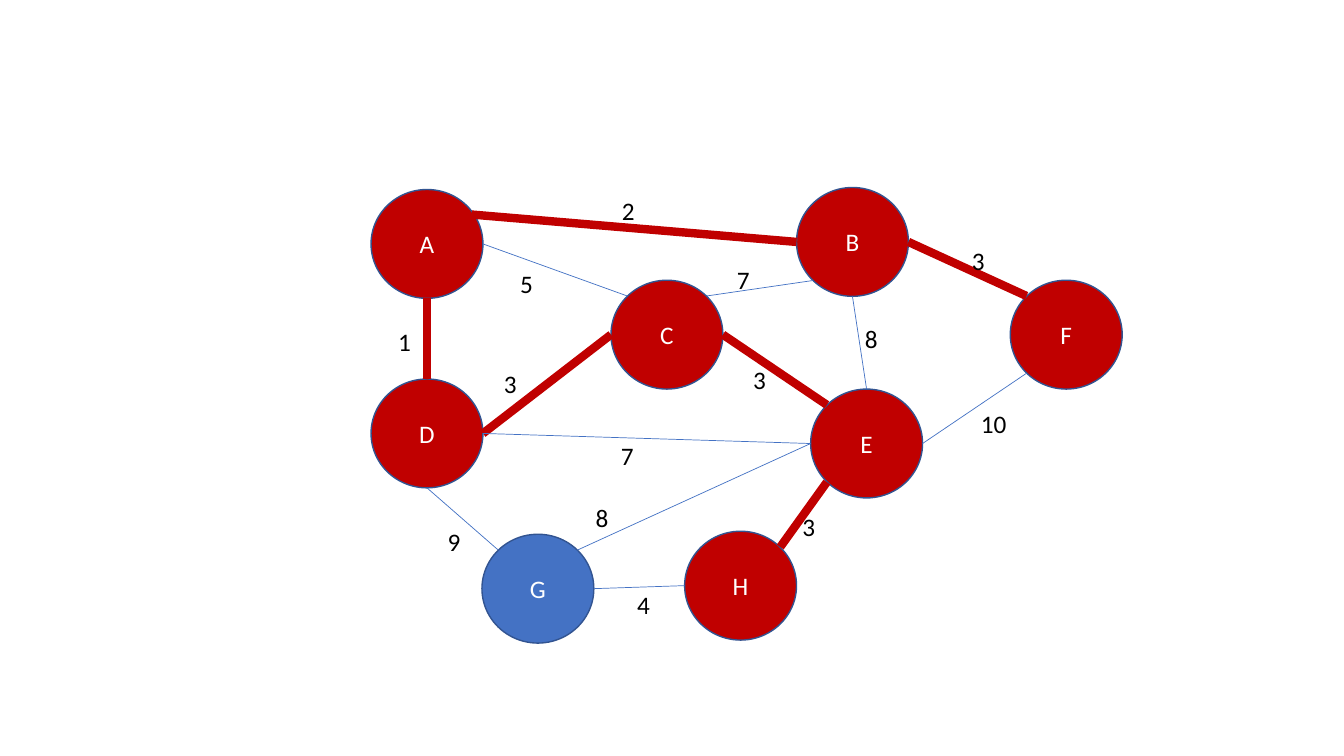
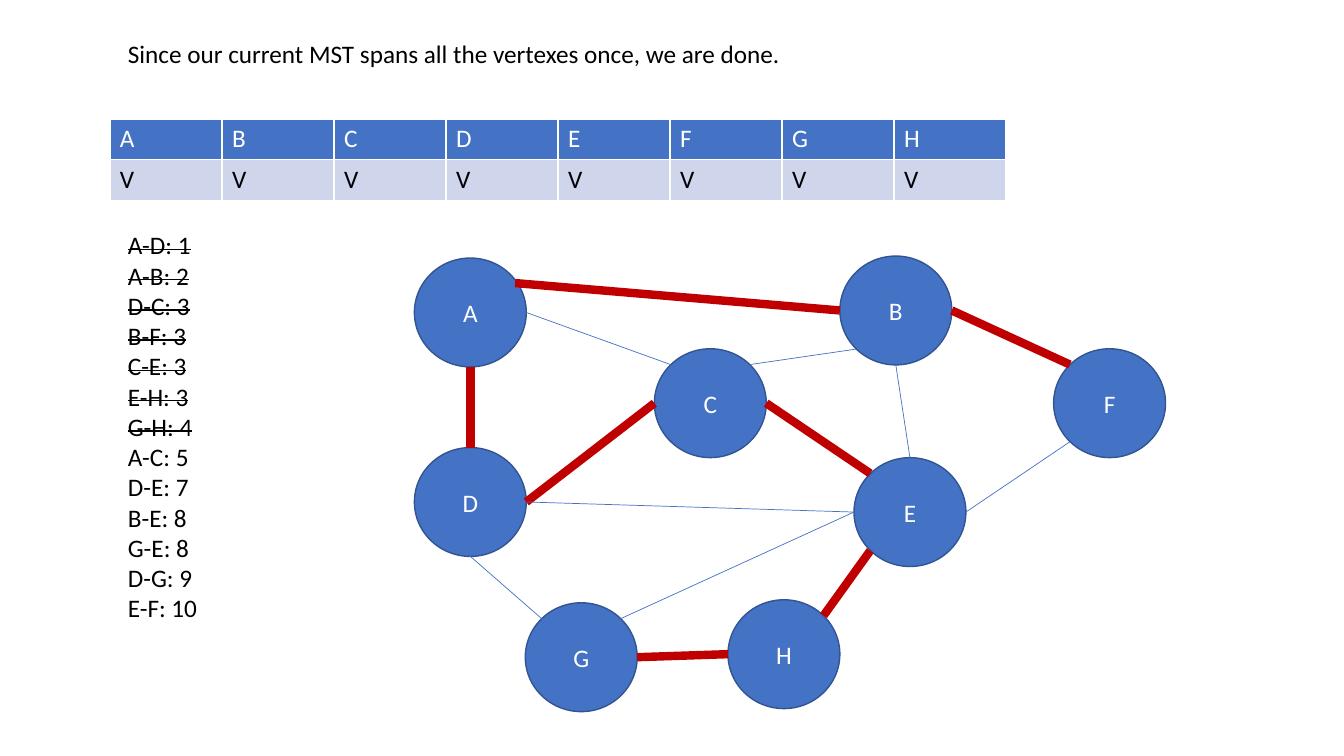
"""Build two slides that show a minimum spanning tree growing on a weighted graph."""
from lxml import etree
from pptx import Presentation
from pptx.dml.color import RGBColor
from pptx.enum.shapes import MSO_CONNECTOR, MSO_SHAPE
from pptx.enum.text import MSO_ANCHOR, PP_ALIGN
from pptx.oxml.ns import qn
from pptx.util import Emu, Pt

STRAIGHT, OVAL = MSO_CONNECTOR.STRAIGHT, MSO_SHAPE.OVAL
MIDDLE, CENTER, LEFT = MSO_ANCHOR.MIDDLE, PP_ALIGN.CENTER, PP_ALIGN.LEFT

EMU_PER_PX = 9144
SLIDE_SIZE = (1333, 750)
FONT, TEXT_SIZE = "Calibri", 18
BLACK, WHITE, BLUE, DARK_BLUE, PALE_BLUE, RED = (
    "000000", "FFFFFF", "4472C4", "325491", "CFD5EA", "C00000")

NODE_SIZE = (111, 108)
NODES = {
    "A": (368, 188), "D": (368, 376), "G": (478, 530), "C": (606, 278),
    "B": (790, 186), "E": (804, 386), "H": (679, 527), "F": (1002, 278),
}
SITES = {
    "top": (0, -1), "bottom": (0, 1), "left": (-1, 0), "right": (1, 0),
    "top left": (-0.71, -0.71), "top right": (0.71, -0.71),
    "bottom left": (-0.71, 0.71), "shoulder": (0.8, -0.54),
}
EDGES = [
    ("A-D", 1, "bottom", "top", (385, 319)),
    ("A-B", 2, "shoulder", "left", (607, 189)),
    ("D-C", 3, "right", "left", (490, 360)),
    ("B-F", 3, "right", "top left", (954, 238)),
    ("C-E", 3, "right", "top left", (737, 357)),
    ("E-H", 3, "bottom left", "top right", (786, 502)),
    ("G-H", 4, "right", "left", (622, 580)),
    ("A-C", 5, "right", "top left", (506, 261)),
    ("D-E", 7, "right", "left", (606, 432)),
    ("B-E", 8, "bottom", "top", (848, 316)),
    ("G-E", 8, "top right", "left", (581, 493)),
    ("D-G", 9, "bottom", "top left", (434, 517)),
    ("E-F", 10, "right", "bottom left", (963, 400)),
    ("C-B", 7, "top right", "bottom left", (721, 257)),
]
UNLISTED = {"C-B"}
CONCLUSION = "Since our current MST spans all the vertexes once, we are done."
VISITED_ROWS = [("ABCDEFGH", BLUE, WHITE), ("V" * 8, PALE_BLUE, BLACK)]


def px(value):
    """Turn pixels into EMU."""
    return Emu(round(value * EMU_PER_PX))


def color(hex_text):
    """Turn a hex string into a colour."""
    return RGBColor.from_string(hex_text)


def write(paragraph, text, text_color=BLACK, align=LEFT):
    """Write one paragraph in the shared text style."""
    paragraph.text = text
    paragraph.alignment = align
    font = paragraph.font
    font.name, font.size, font.bold = FONT, Pt(TEXT_SIZE), False
    font.color.rgb = color(text_color)


def add_text(slide, box, lines, struck_count=0):
    """Add a text box and strike through its first lines."""
    frame = slide.shapes.add_textbox(*map(px, box)).text_frame
    frame.word_wrap = True
    for index, line in enumerate(lines):
        paragraph = frame.add_paragraph() if index else frame.paragraphs[0]
        write(paragraph, line)
        if index < struck_count:
            paragraph.runs[0].font._element.set("strike", "sngStrike")


def add_node(slide, name, corner, fill):
    """Add one vertex of the graph."""
    shape = slide.shapes.add_shape(OVAL, *map(px, corner + NODE_SIZE))
    shape.shadow.inherit = False
    shape.fill.solid()
    shape.fill.fore_color.rgb = color(fill)
    shape.line.color.rgb = color(DARK_BLUE)
    shape.line.width = Pt(1)
    shape.text_frame.vertical_anchor = MIDDLE
    write(shape.text_frame.paragraphs[0], name, WHITE, CENTER)


def site_point(corner, site):
    """Find a named point on the rim of a vertex."""
    return [start + size / 2 * (1 + unit)
            for start, size, unit in zip(corner, NODE_SIZE, SITES[site])]


def add_edge(slide, start, end, in_tree):
    """Add one edge, thick and red when it is in the tree."""
    connector = slide.shapes.add_connector(STRAIGHT, *map(px, start + end))
    connector.line.color.rgb = color(RED if in_tree else BLUE)
    connector.line.width = Pt(6 if in_tree else 0.5)
    etree.SubElement(connector._element.spPr, qn("a:effectLst"))


def add_graph(slide, tree_size, shift=(0, 0), mark_nodes=False, show_weights=False):
    """Draw the graph with its first edges as the tree."""
    corners = {name: (left + shift[0], top + shift[1])
               for name, (left, top) in NODES.items()}
    reached = {node for edge in EDGES[:tree_size] for node in edge[0].split("-")}
    for name, corner in corners.items():
        add_node(slide, name, corner, RED if mark_nodes and name in reached else BLUE)
    for index, (name, weight, start_site, end_site, label) in enumerate(EDGES):
        first, second = name.split("-")
        add_edge(slide, site_point(corners[first], start_site),
                 site_point(corners[second], end_site), index < tree_size)
        if show_weights:
            width = 39 if weight < 10 else 62
            add_text(slide, label + (width, 40), [str(weight)])


def add_visited_table(slide):
    """Add the table of visited vertexes."""
    table = slide.shapes.add_table(
        len(VISITED_ROWS), len(NODES), *map(px, (109, 118, 889, 81))).table
    for row, (letters, fill, text_color) in zip(table.rows, VISITED_ROWS):
        for cell, letter in zip(row.cells, letters):
            cell.fill.solid()
            cell.fill.fore_color.rgb = color(fill)
            write(cell.text_frame.paragraphs[0], letter, text_color)


def main():
    """Build and save the presentation."""
    presentation = Presentation()
    presentation.slide_width, presentation.slide_height = map(px, SLIDE_SIZE)
    blank = presentation.slide_layouts[6]

    growing_slide = presentation.slides.add_slide(blank)
    add_graph(growing_slide, tree_size=6, mark_nodes=True, show_weights=True)

    final_slide = presentation.slides.add_slide(blank)
    tree_size = 7
    listed = [f"{name}: {weight}" for name, weight, *_ in EDGES if name not in UNLISTED]
    add_text(final_slide, (117, 223, 166, 404), listed, tree_size)
    add_visited_table(final_slide)
    add_graph(final_slide, tree_size, shift=(43, 68))
    add_text(final_slide, (117, 33, 1071, 40), [CONCLUSION])

    presentation.save("out.pptx")


if __name__ == "__main__":
    main()
